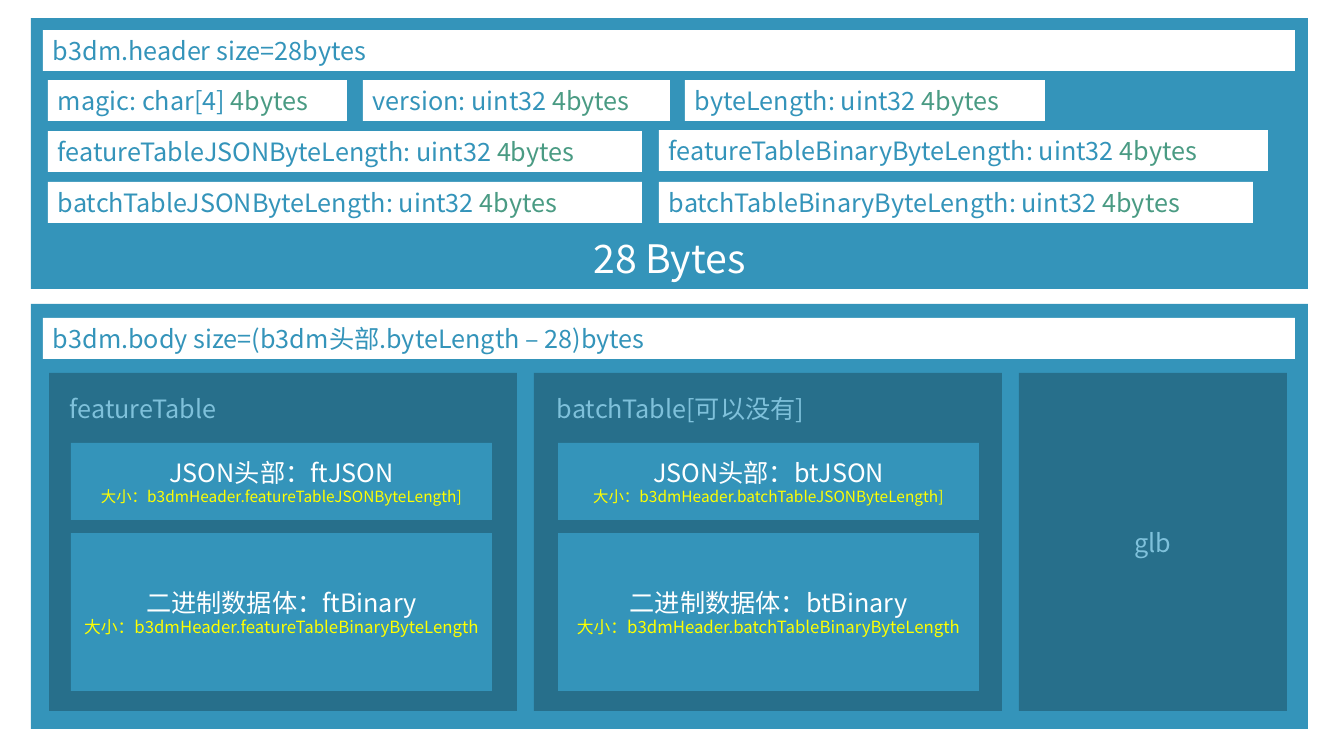
from dataclasses import dataclass

from lxml import etree
from pptx import Presentation
from pptx.dml.color import RGBColor
from pptx.enum.shapes import MSO_SHAPE
from pptx.enum.text import MSO_ANCHOR, PP_ALIGN
from pptx.oxml.ns import qn
from pptx.slide import Slide
from pptx.util import Emu, Pt

RECT = MSO_SHAPE.RECTANGLE
MIDDLE = MSO_ANCHOR.MIDDLE
LEFT, CENTER = PP_ALIGN.LEFT, PP_ALIGN.CENTER

PX_PER_INCH = 100.8
FONT = "Noto Sans CJK SC"
COLORS = {
    "blue": "3494BA",
    "dark": "276F8B",
    "pale": "7FC1DB",
    "green": "4A9B83",
    "yellow": "FFFF00",
    "white": "FFFFFF",
}

BAR_H = 41
PANEL_X, PANEL_W = 31, 1277
TITLE_X, TITLE_W = 43, 1252
TABLE_Y, TABLE_W, TABLE_H = 373, 468, 338
PART_INDENT, PART_W = 11, 421


@dataclass(frozen=True)
class Span:
    """A stretch of text in one size and colour."""
    text: str
    color: str
    size: int = 18


@dataclass(frozen=True)
class Field:
    """One entry of the b3dm header."""
    x: int
    y: int
    width: int
    label: str


@dataclass(frozen=True)
class Table:
    """One table of the b3dm body; prefix names its two parts."""
    x: int
    content_x: int
    title: str
    name: str
    prefix: str


@dataclass(frozen=True)
class Part:
    """One part inside every table."""
    y: int
    height: int
    title: str
    kind: str
    ending: str
    note_size: int


FIELDS = [
    Field(48, 80, 299, "magic: char[4] "),
    Field(363, 80, 307, "version: uint32 "),
    Field(685, 80, 360, "byteLength: uint32 "),
    Field(48, 131, 594, "featureTableJSONByteLength: uint32 "),
    Field(659, 130, 609, "featureTableBinaryByteLength: uint32 "),
    Field(48, 182, 594, "batchTableJSONByteLength: uint32 "),
    Field(659, 182, 594, "batchTableBinaryByteLength: uint32 "),
]
TABLES = [
    Table(49, 60, "featureTable", "featureTable", "ft"),
    Table(534, 547, "batchTable[可以没有]", "batchTable", "bt"),
]
PARTS = [
    Part(443, 77, "JSON头部：", "JSON", "]", 11),
    Part(533, 158, "二进制数据体：", "Binary", "", 12),
]


def px(pixels: float) -> Emu:
    """Turn pixels into EMU."""
    return Emu(round(pixels * 914400 / PX_PER_INCH))


def color(key: str) -> RGBColor:
    """Look up a colour by its key."""
    return RGBColor.from_string(COLORS[key])


def add_box(slide: Slide, x: int, y: int, width: int, height: int, fill: str,
            lines: tuple[tuple[Span, ...], ...] = (), align: PP_ALIGN = LEFT,
            top_inset: int = 5) -> None:
    """Draw a filled rectangle holding the given lines of spans."""
    box = slide.shapes.add_shape(RECT, px(x), px(y), px(width), px(height))
    box.shadow.inherit = False
    box.fill.solid()
    box.fill.fore_color.rgb = color(fill)
    box.line.fill.background()
    frame = box.text_frame
    frame.word_wrap = True
    frame.vertical_anchor = MIDDLE
    frame.margin_top = px(top_inset)
    for index, spans in enumerate(lines):
        paragraph = frame.add_paragraph() if index else frame.paragraphs[0]
        paragraph.alignment = align
        for span in spans:
            run = paragraph.add_run()
            run.text = span.text
            run.font.size = Pt(span.size)
            run.font.color.rgb = color(span.color)
            run.font.name = FONT
            east_asian = etree.SubElement(run._r.get_or_add_rPr(), qn("a:ea"))
            east_asian.set("typeface", FONT)


def add_title(slide: Slide, y: int, text: str) -> None:
    """Draw the white title bar of a panel."""
    add_box(slide, TITLE_X, y, TITLE_W, BAR_H, "white", ((Span(text, "blue"),),))


def add_header(slide: Slide) -> None:
    """Draw the header panel with its fields."""
    add_box(slide, PANEL_X, 18, PANEL_W, 271, "blue",
            ((Span("28 Bytes", "white", 28),),), CENTER, top_inset=214)
    add_title(slide, 30, "b3dm.header size=28bytes")
    for field in FIELDS:
        spans = (Span(field.label, "blue"), Span("4bytes", "green"))
        add_box(slide, field.x, field.y, field.width, BAR_H, "white", (spans,))


def add_table_block(slide: Slide, table: Table) -> None:
    """Draw one body table with its JSON and binary parts."""
    add_box(slide, table.x, TABLE_Y, TABLE_W, TABLE_H, "dark")
    add_box(slide, table.content_x, 388, 445, BAR_H, "dark",
            ((Span(table.title, "pale"),),))
    for part in PARTS:
        title = f"{part.title}{table.prefix}{part.kind}"
        note = f"大小：b3dmHeader.{table.name}{part.kind}ByteLength{part.ending}"
        add_box(slide, table.content_x + PART_INDENT, part.y, PART_W, part.height,
                "blue", ((Span(title, "white"),),
                         (Span(note, "yellow", part.note_size),)), CENTER)


def add_body(slide: Slide) -> None:
    """Draw the body panel with its tables and the glb block."""
    add_box(slide, PANEL_X, 304, PANEL_W, 425, "blue")
    add_title(slide, 318, "b3dm.body size=(b3dm头部.byteLength – 28)bytes")
    for table in TABLES:
        add_table_block(slide, table)
    add_box(slide, 1019, TABLE_Y, 268, TABLE_H, "dark",
            ((Span("glb", "pale"),),), CENTER)


def main() -> None:
    """Build and save the slide."""
    deck = Presentation()
    deck.slide_width, deck.slide_height = px(1344), px(756)
    slide = deck.slides.add_slide(deck.slide_layouts[6])
    add_header(slide)
    add_body(slide)
    deck.save("out.pptx")


main()
